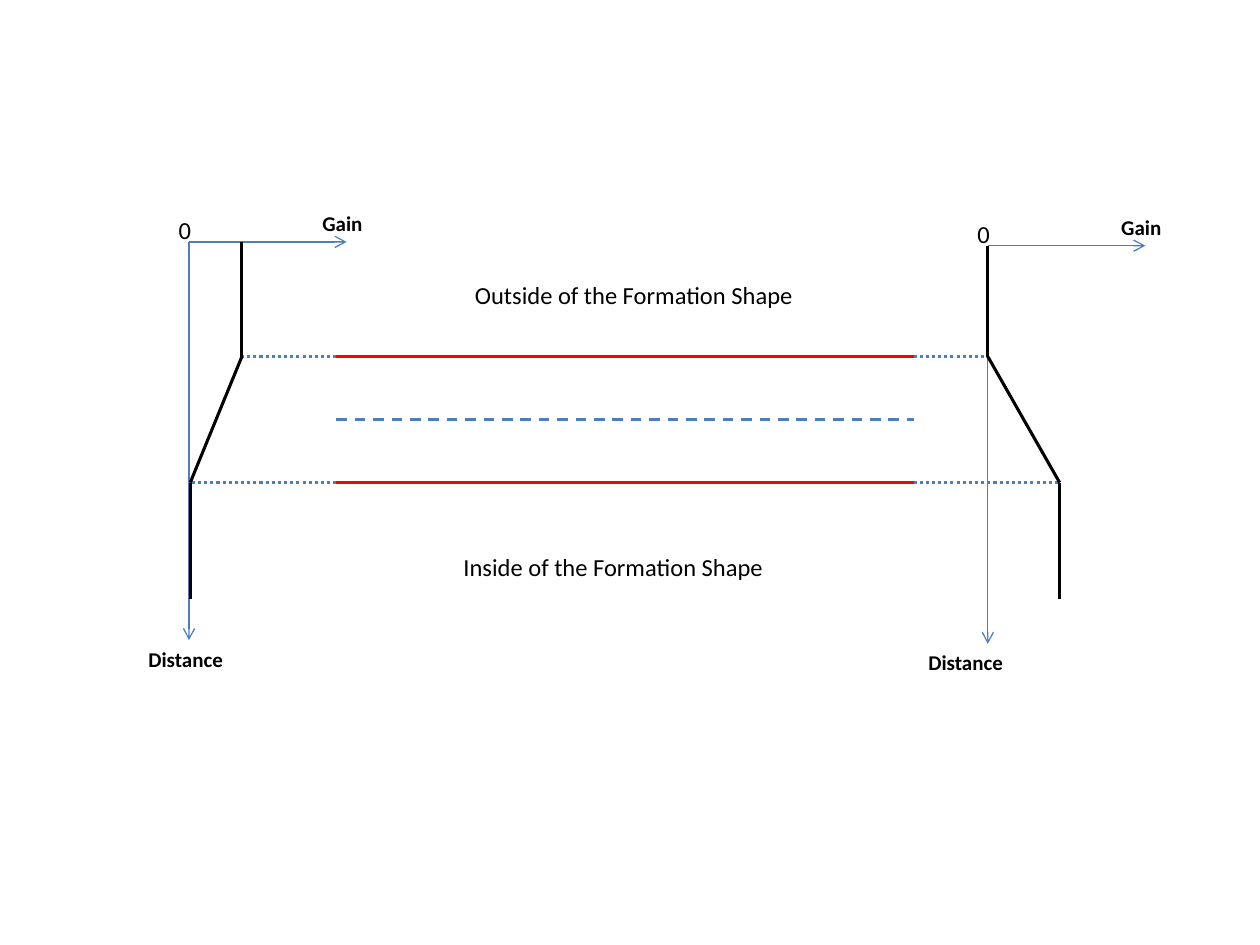
from lxml.etree import SubElement
from pptx import Presentation
from pptx.dml.color import RGBColor
from pptx.enum.dml import MSO_LINE
from pptx.enum.shapes import MSO_CONNECTOR
from pptx.enum.text import MSO_AUTO_SIZE
from pptx.oxml.ns import qn
from pptx.util import Inches, Pt

COLORS = {"axis": "4B7EBC", "boundary": "FF0000", "ink": "000000"}
OUTER_Y, MIDDLE_Y, INNER_Y = 2.83, 3.33, 3.83
BAND_LEFT, BAND_RIGHT = 2.67, 7.25


def add_line(slide, start, end, color, width, dash=None, arrow=False):
    line = slide.shapes.add_connector(
        MSO_CONNECTOR.STRAIGHT, *(Inches(v) for v in (*start, *end)))
    line.line.color.rgb = RGBColor.from_string(COLORS[color])
    line.line.width = Pt(width)
    if dash:
        line.line.dash_style = dash
    properties = line._element.spPr
    if arrow:
        SubElement(properties.find(qn("a:ln")), qn("a:tailEnd"), type="arrow")
    SubElement(properties, qn("a:effectLst"))


def add_label(slide, text, left, top, width, height, size, bold=False):
    label = slide.shapes.add_textbox(*(Inches(v) for v in (left, top, width, height)))
    frame = label.text_frame
    frame.word_wrap = False
    frame.auto_size = MSO_AUTO_SIZE.SHAPE_TO_FIT_TEXT
    paragraph = frame.paragraphs[0]
    paragraph.text = text
    font = paragraph.font
    font.name = "Calibri"
    font.size = Pt(size)
    font.bold = bold
    font.color.rgb = RGBColor.from_string(COLORS["ink"])


def add_axes(slide, x, y, distance_left):
    add_line(slide, (x, y), (x, y + 3.16), "axis", 0.75, arrow=True)
    add_line(slide, (x, y), (x + 1.25, y), "axis", 0.75, arrow=True)
    add_label(slide, "0", x - 0.18, y - 0.26, 0.3, 0.34, 14)
    add_label(slide, "Gain", x + 0.96, y - 0.3, 0.52, 0.3, 12, bold=True)
    add_label(slide, "Distance", distance_left, y + 3.16, 0.8, 0.3, 12, bold=True)


def add_gain_curve(slide, points):
    for start, end in zip(points, points[1:]):
        add_line(slide, start, end, "ink", 1.75)


def add_formation_band(slide):
    for y, color, dash in ((OUTER_Y, "boundary", None),
                           (MIDDLE_Y, "axis", MSO_LINE.DASH),
                           (INNER_Y, "boundary", None)):
        add_line(slide, (BAND_LEFT, y), (BAND_RIGHT, y), color, 1.5, dash)
    add_label(slide, "Outside of the Formation Shape", 3.67, 2.17, 2.75, 0.34, 14)
    add_label(slide, "Inside of the Formation Shape", 3.58, 4.33, 2.6, 0.34, 14)


def add_guides(slide, band_edge, outer_x, inner_x):
    for x, y in ((outer_x, OUTER_Y), (inner_x, INNER_Y)):
        add_line(slide, (band_edge, y), (x, y), "axis", 1.75, MSO_LINE.ROUND_DOT)


def main():
    presentation = Presentation()
    presentation.slide_width = Inches(10)
    presentation.slide_height = Inches(7.5)
    slide = presentation.slides.add_slide(presentation.slide_layouts[6])

    add_formation_band(slide)
    for axis_x, axis_y, distance_left, band_edge, outer_x, inner_x in (
            (1.5, 1.92, 1.08, BAND_LEFT, 1.92, 1.51),
            (7.84, 1.95, 7.27, BAND_RIGHT, 7.84, 8.41)):
        add_axes(slide, axis_x, axis_y, distance_left)
        add_guides(slide, band_edge, outer_x, inner_x)
        add_gain_curve(slide, [(outer_x, axis_y), (outer_x, OUTER_Y),
                               (inner_x, INNER_Y), (inner_x, 4.75)])

    presentation.save("out.pptx")


if __name__ == "__main__":
    main()
